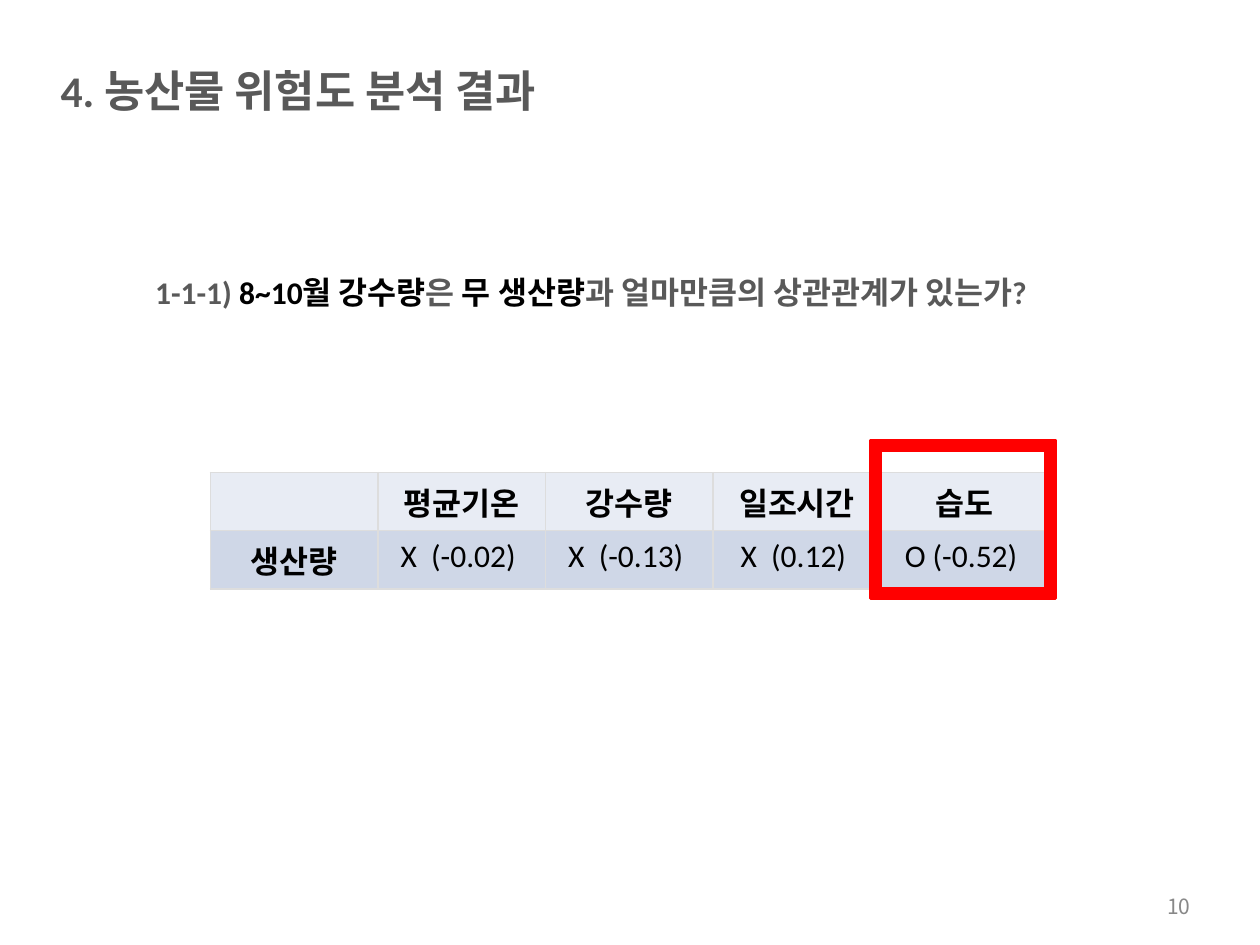
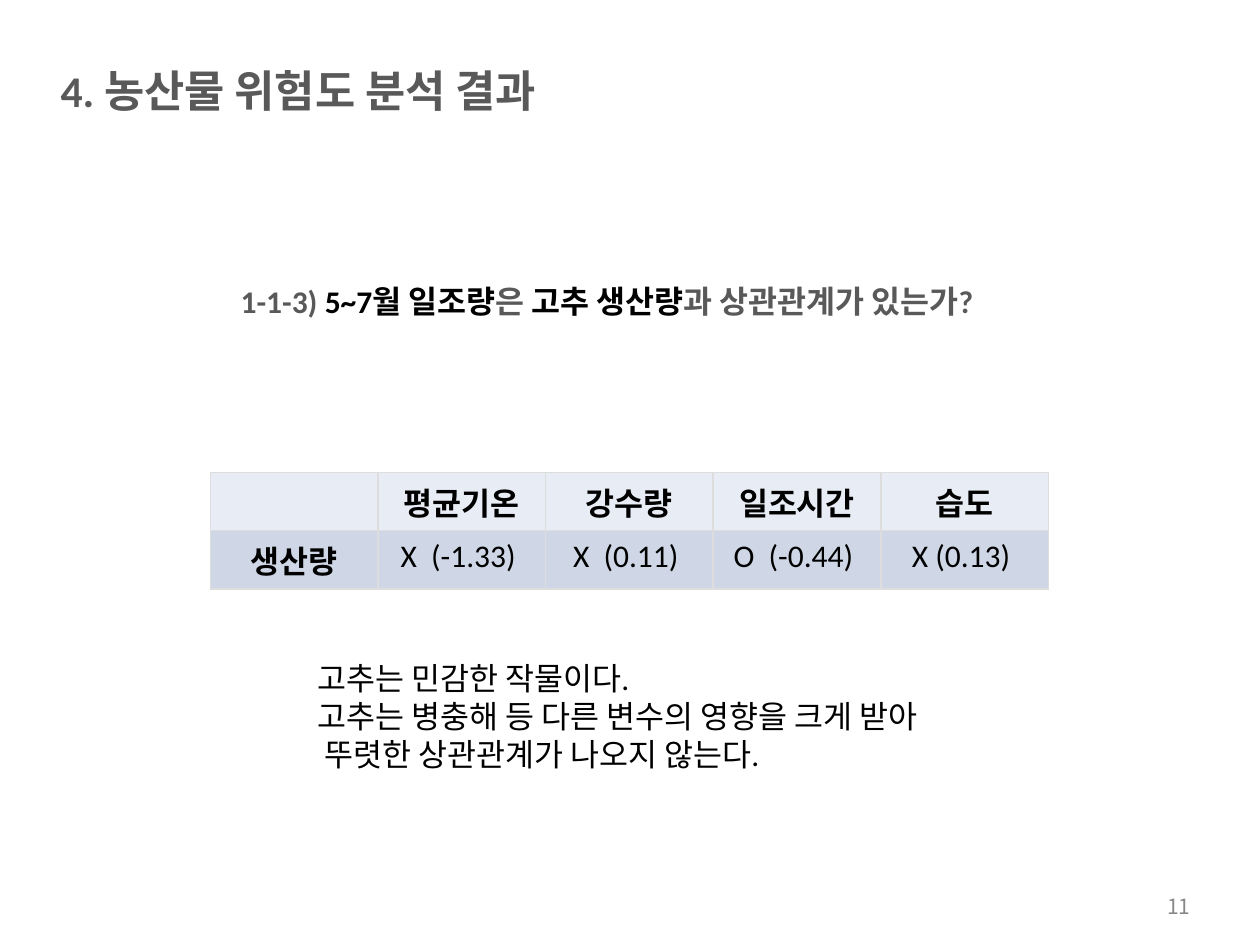
import pptx
import pptx.dml.color
import pptx.enum.shapes
import pptx.enum.text
import pptx.oxml.ns
import pptx.util
import lxml.etree

Pt = pptx.util.Pt
ALIGN = pptx.enum.text.PP_ALIGN
ANCHOR = pptx.enum.text.MSO_ANCHOR
AUTO = pptx.enum.text.MSO_AUTO_SIZE

COLORS = {
    "ink": "000000",
    "gray": "595959",
    "number": "888888",
    "head": "E8ECF4",
    "body": "CFD7E7",
    "border": "DDDDDD",
    "mark": "FF0000",
}
LATIN, KOREAN = "Calibri", "Noto Sans CJK KR"
INSET = Pt(3.6)
TITLE_STYLE = {"size": Pt(25), "bold": True}
QUESTION_STYLE = {"size": Pt(18), "bold": True}
PLAIN_STYLE = {"size": Pt(18), "bold": False}
NUMBER_STYLE = {"size": Pt(12), "bold": False}


def add_run(paragraph, text, style, color, face=LATIN):
    run = paragraph.add_run()
    run.text = text
    for name, value in {**style, "name": face}.items():
        setattr(run.font, name, value)
    run.font.color.rgb = pptx.dml.color.RGBColor.from_string(COLORS[color])
    # Hangul face, placed right after the Latin one
    latin = run.font._element.find(pptx.oxml.ns.qn("a:latin"))
    east_asian = lxml.etree.Element(pptx.oxml.ns.qn("a:ea"), typeface=KOREAN)
    latin.addnext(east_asian)


def format_frame(frame, wrap=True, anchor=ANCHOR.MIDDLE, auto=AUTO.NONE):
    values = {
        "margin_left": INSET, "margin_right": INSET,
        "margin_top": INSET, "margin_bottom": INSET,
        "word_wrap": wrap, "vertical_anchor": anchor, "auto_size": auto,
    }
    for name, value in values.items():
        setattr(frame, name, value)
    return frame


factors = ["평균기온", "강수량", "일조시간", "습도"]
pages = [
    {
        "number": "10",
        "question_at": (85, 135.4, 550, 62.6),
        "room_below": 0,
        "question": [("1-1-1) ", "gray"), ("8~10월 강수량", "ink"), ("은 ", "gray"),
                     ("무 생산량", "ink"), ("과 얼마만큼의 상관관계가 있는가?", "gray")],
        "results": ["X  (-0.02) ", "X  (-0.13) ", "X  (0.12) ", "O (-0.52) "],
        "highlight_at": (497.5, 252, 105.8, 90),
        "notes": [],
    },
    {
        "number": "11",
        "question_at": (133.9, 150.5, 468.7, 62.6),
        "room_below": 20,
        "question": [("1-1-3) ", "gray"), ("5~7월 일조량", "ink"), ("은 ", "gray"),
                     ("고추 생산량", "ink"), ("과 상관관계가 있는가?", "gray")],
        "results": ["X  (-1.33) ", "X  (0.11) ", "O  (-0.44) ", "X (0.13) "],
        "highlight_at": None,
        "notes": ["고추는 민감한 작물이다.",
                  "고추는 병충해 등 다른 변수의 영향을 크게 받아",
                  " 뚜렷한 상관관계가 나오지 않는다."],
    },
]

deck = pptx.Presentation()
deck.slide_width, deck.slide_height = Pt(720), Pt(540)

for page in pages:
    slide = deck.slides.add_slide(deck.slide_layouts[5])

    # Title
    title = slide.shapes.title
    title.left, title.top, title.width, title.height = Pt(31), Pt(20.2), Pt(603.4), Pt(62.6)
    heading = format_frame(title.text_frame).paragraphs[0]
    heading.alignment = ALIGN.LEFT
    add_run(heading, "4. ", TITLE_STYLE, "gray")
    add_run(heading, "농산물 위험도 분석 결과", TITLE_STYLE, "gray", KOREAN)

    # Research question
    question = slide.shapes.add_textbox(*map(Pt, page["question_at"]))
    question_frame = format_frame(question.text_frame)
    question_frame.margin_bottom = INSET + Pt(page["room_below"])
    for words, color in page["question"]:
        add_run(question_frame.paragraphs[0], words, QUESTION_STYLE, color)

    # Correlation table
    rows = [[""] + factors, ["생산량"] + page["results"]]
    correlations = slide.shapes.add_table(
        2, 5, Pt(120.2), Pt(270), Pt(479), Pt(58.4)).table
    correlations.first_row = correlations.horz_banding = False
    for column in correlations.columns:
        column.width = Pt(95.8)
    for r, row in enumerate(rows):
        correlations.rows[r].height = Pt(29.2)
        for c, words in enumerate(row):
            cell = correlations.cell(r, c)
            for side in ("left", "right", "top", "bottom"):
                setattr(cell, "margin_" + side, INSET)
            properties = cell._tc.get_or_add_tcPr()
            for edge in ("a:lnL", "a:lnR", "a:lnT", "a:lnB"):
                border = lxml.etree.SubElement(
                    properties, pptx.oxml.ns.qn(edge), w=str(Pt(1)))
                paint = lxml.etree.SubElement(border, pptx.oxml.ns.qn("a:solidFill"))
                lxml.etree.SubElement(
                    paint, pptx.oxml.ns.qn("a:srgbClr"), val=COLORS["border"])
            cell.fill.solid()
            cell.fill.fore_color.rgb = pptx.dml.color.RGBColor.from_string(
                COLORS["body" if r else "head"])
            paragraph = cell.text_frame.paragraphs[0]
            paragraph.alignment = ALIGN.CENTER
            if words:
                style = PLAIN_STYLE if r and c else QUESTION_STYLE
                add_run(paragraph, words, style, "ink", LATIN if r else KOREAN)

    # Frame around the strongest correlation
    if page["highlight_at"]:
        highlight = slide.shapes.add_shape(
            pptx.enum.shapes.MSO_SHAPE.FRAME, *map(Pt, page["highlight_at"]))
        highlight.adjustments[0] = 0.06
        highlight.shadow.inherit = False
        highlight.fill.solid()
        red = pptx.dml.color.RGBColor.from_string(COLORS["mark"])
        highlight.fill.fore_color.rgb = highlight.line.color.rgb = red
        highlight.line.width = Pt(2)

    # Remarks below the table
    if page["notes"]:
        remarks = slide.shapes.add_textbox(Pt(177.8), Pt(373), Pt(381.6), Pt(72.7))
        remarks_frame = format_frame(
            remarks.text_frame, False, ANCHOR.TOP, AUTO.SHAPE_TO_FIT_TEXT)
        for i, remark in enumerate(page["notes"]):
            line = remarks_frame.add_paragraph() if i else remarks_frame.paragraphs[0]
            add_run(line, remark, PLAIN_STYLE, "ink")

    # Page number, in a box wide enough for one line
    number = slide.shapes.add_textbox(Pt(654), Pt(508.3), Pt(30), Pt(19.4))
    number_line = format_frame(number.text_frame).paragraphs[0]
    number_line.alignment = ALIGN.RIGHT
    add_run(number_line, page["number"], NUMBER_STYLE, "number", KOREAN)

deck.save("out.pptx")
